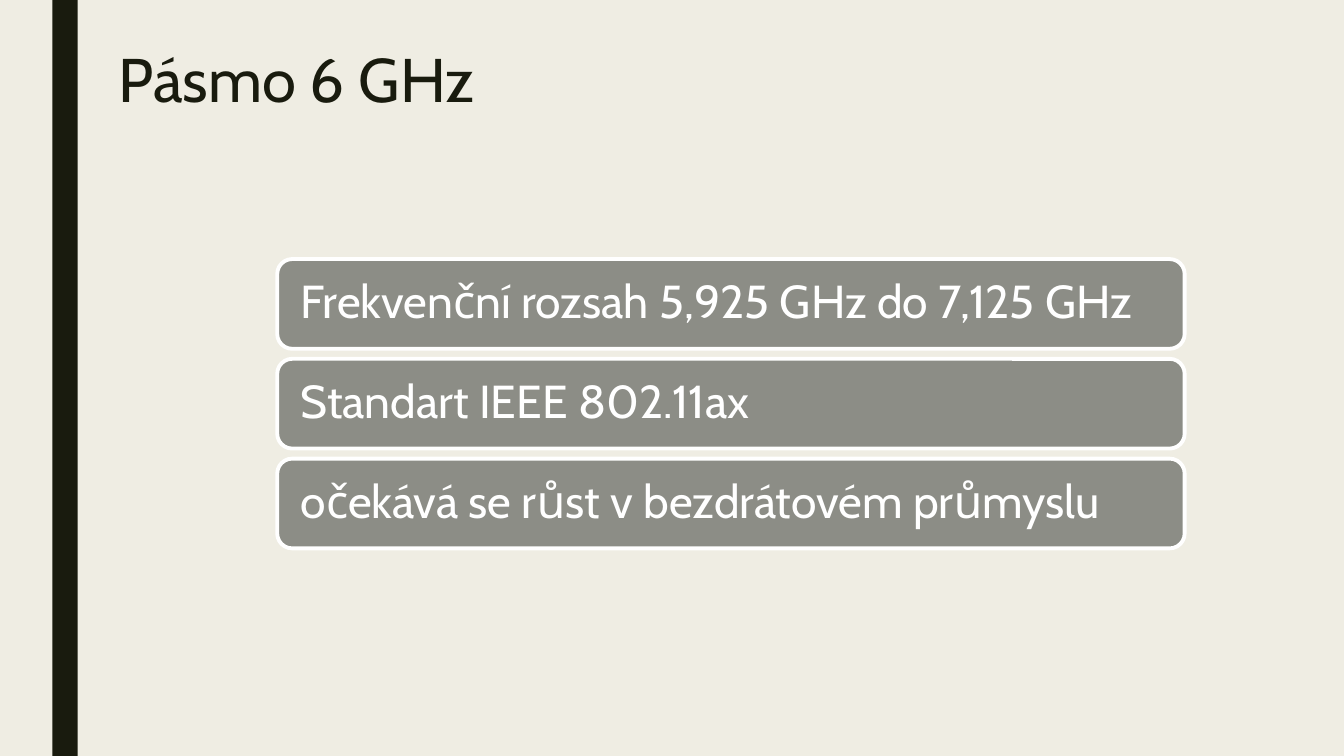
from dataclasses import dataclass

import pptx
import pptx.dml.color
import pptx.enum.shapes
import pptx.enum.text
import pptx.shapes.autoshape
import pptx.slide
import pptx.util
from pptx.util import Inches

RGB = pptx.dml.color.RGBColor.from_string
SHAPES = pptx.enum.shapes.MSO_SHAPE


@dataclass(frozen=True)
class Theme:
    """Colours, font and type sizes of the slide."""
    background: str = "EFEDE3"
    dark: str = "191B0E"
    card: str = "8C8D86"
    light: str = "FFFFFF"
    font: str = "Cabin"
    title_size: int = 44
    card_size: int = 33
    outline: float = 2.75


@dataclass(frozen=True)
class Box:
    """Position and size in inches."""
    left: float
    top: float
    width: float
    height: float

    def lengths(self) -> tuple:
        """Return left, top, width and height as lengths."""
        return tuple(map(Inches, (self.left, self.top, self.width, self.height)))


THEME = Theme()
SIDE_BAR = Box(0.52, 0, 0.25, 7.5)
TITLE = Box(1.08, 0.44, 10.5, 1.62)
FIRST_CARD = Box(2.75, 2.57, 9, 0.89)
CARD_PITCH = 0.99
CARD_MARGIN = 0.19
FACTS = (
    "Frekvenční rozsah 5,925 GHz do 7,125 GHz",
    "Standart IEEE 802.11ax",
    "očekává se růst v bezdrátovém průmyslu",
)


def write_text(shape: pptx.shapes.autoshape.Shape, text: str, size: int, color: str,
               anchor: pptx.enum.text.MSO_ANCHOR) -> None:
    """Put one left-aligned paragraph into a shape."""
    frame = shape.text_frame
    frame.word_wrap = True
    frame.vertical_anchor = anchor
    paragraph = frame.paragraphs[0]
    paragraph.text = text
    paragraph.alignment = pptx.enum.text.PP_ALIGN.LEFT
    paragraph.line_spacing = 0.9
    paragraph.font.name = THEME.font
    paragraph.font.size = pptx.util.Pt(size)
    paragraph.font.color.rgb = RGB(color)


def add_filled(slide: pptx.slide.Slide, kind: pptx.enum.shapes.MSO_SHAPE, box: Box,
               fill: str) -> pptx.shapes.autoshape.Shape:
    """Add a flat shape without shadow or outline."""
    shape = slide.shapes.add_shape(kind, *box.lengths())
    shape.shadow.inherit = False
    shape.fill.solid()
    shape.fill.fore_color.rgb = RGB(fill)
    shape.line.fill.background()
    return shape


def add_card(slide: pptx.slide.Slide, box: Box, text: str) -> None:
    """Add a rounded, outlined card holding one fact."""
    card = add_filled(slide, SHAPES.ROUNDED_RECTANGLE, box, THEME.card)
    card.line.color.rgb = RGB(THEME.light)
    card.line.width = pptx.util.Pt(THEME.outline)
    frame = card.text_frame
    frame.margin_left = frame.margin_right = Inches(CARD_MARGIN)
    write_text(card, text, THEME.card_size, THEME.light, pptx.enum.text.MSO_ANCHOR.MIDDLE)


def main() -> None:
    """Build and save the slide."""
    presentation = pptx.Presentation()
    presentation.slide_width = Inches(13.33)
    presentation.slide_height = Inches(7.5)
    slide = presentation.slides.add_slide(presentation.slide_layouts[6])
    slide.background.fill.solid()
    slide.background.fill.fore_color.rgb = RGB(THEME.background)

    add_filled(slide, SHAPES.RECTANGLE, SIDE_BAR, THEME.dark)
    title = slide.shapes.add_textbox(*TITLE.lengths())
    write_text(title, "Pásmo 6 GHz", THEME.title_size, THEME.dark, pptx.enum.text.MSO_ANCHOR.TOP)
    for index, fact in enumerate(FACTS):
        top = FIRST_CARD.top + index * CARD_PITCH
        add_card(slide, Box(FIRST_CARD.left, top, FIRST_CARD.width, FIRST_CARD.height), fact)
    presentation.save("out.pptx")


main()
